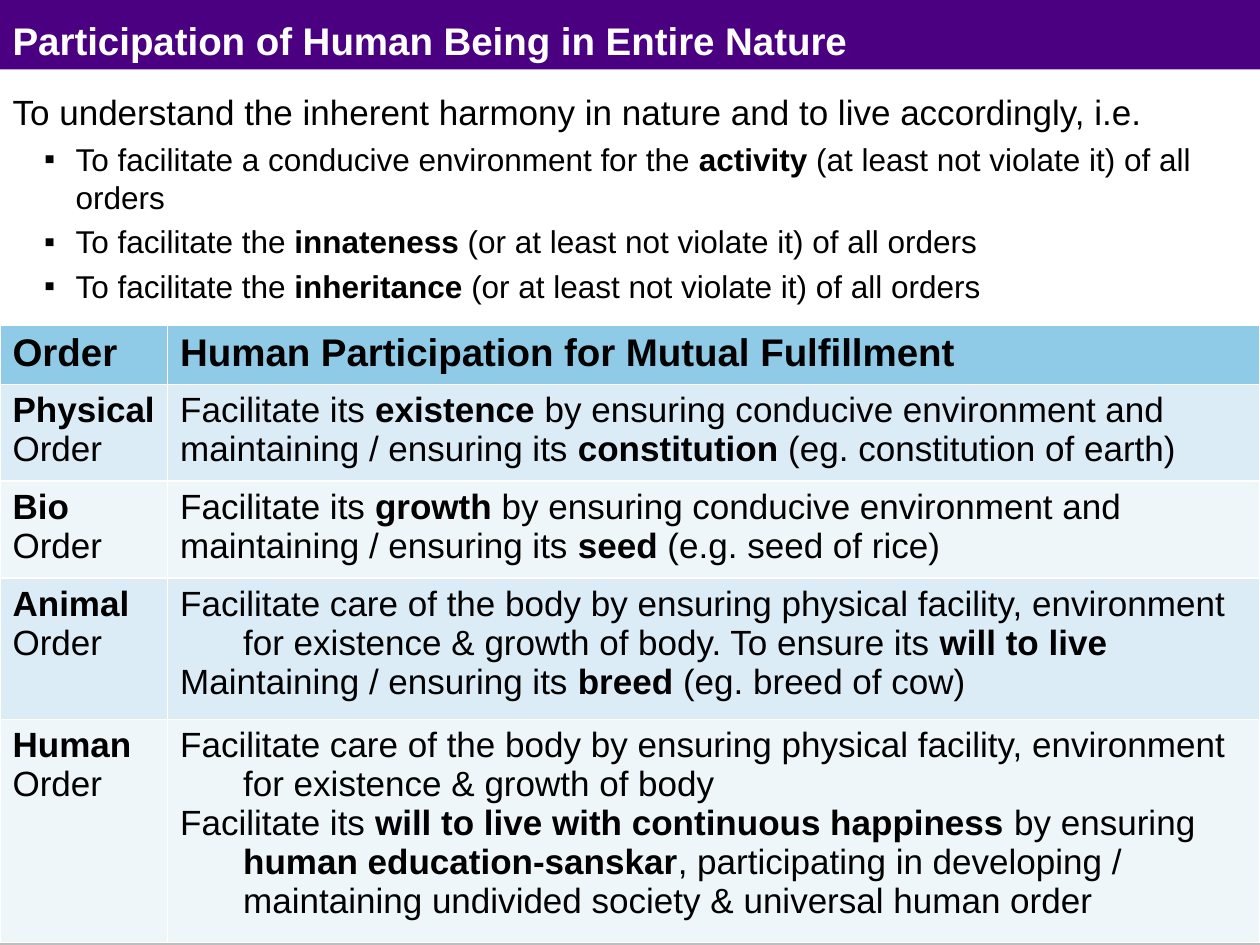
import pptx
import pptx.util
import pptx.dml.color
import pptx.enum.shapes
import pptx.enum.text
import pptx.oxml
import pptx.oxml.ns

Inches, Pt = pptx.util.Inches, pptx.util.Pt
RGB = pptx.dml.color.RGBColor.from_string
ANCHOR = pptx.enum.text.MSO_ANCHOR
theme = dict(
    font="Arial", ink="000000", light="FFFFFF", purple="4B0082", gray="BEBEBE",
    head="8FCAE7", bands=("DBECF6", "EEF6FA"), large=22, main=20, small=18,
)


def write(para, text, size, color=theme["ink"]):
    """Fill a paragraph; words between asterisks are bold."""
    para.font.name = theme["font"]
    para.font.size = Pt(size)
    para.font.color.rgb = RGB(color)
    for i, part in enumerate(text.split("*")):
        if part:
            run = para.add_run()
            run.text = part
            run.font.bold = i % 2 == 1


def indent(para, left, first, bullet=None):
    """Set a hanging indent and, if given, a bullet."""
    props = para._p.get_or_add_pPr()
    props.set("marL", str(Inches(left)))
    props.set("indent", str(Inches(first)))
    mark = pptx.oxml.ns.qn("a:buChar" if bullet else "a:buNone")
    node = props.makeelement(mark, {"char": bullet} if bullet else {})
    props.append(node)


deck = pptx.Presentation()
deck.slide_width, deck.slide_height = Inches(10), Inches(7.5)
slide = deck.slides.add_slide(deck.slide_layouts[1])
title, body = slide.placeholders

# Bars behind the text
bars = [(0, 0.55, theme["purple"]), (7.19, 0.33, theme["gray"])]
for i, (top, height, color) in enumerate(bars):
    bar = slide.shapes.add_shape(
        pptx.enum.shapes.MSO_SHAPE.RECTANGLE, 0, Inches(top), Inches(10), Inches(height))
    bar.shadow.inherit = False
    bar.fill.solid()
    bar.fill.fore_color.rgb = RGB(color)
    bar.line.fill.background()
    slide.shapes._spTree.insert(2 + i, bar._element)

# Title and body boxes
for box, top, height, anchor in [
    (title, 0.08, 0.42, ANCHOR.BOTTOM), (body, 0.67, 6.5, ANCHOR.TOP),
]:
    box.left, box.top = Inches(0), Inches(top)
    box.width, box.height = Inches(10), Inches(height)
    box.text_frame.vertical_anchor = anchor
    box.text_frame.auto_size = pptx.enum.text.MSO_AUTO_SIZE.NONE
title.text_frame.margin_top = title.text_frame.margin_bottom = 0
head = title.text_frame.paragraphs[0]
head.alignment = pptx.enum.text.PP_ALIGN.LEFT
write(head, "*Participation of Human Being in Entire Nature*", theme["large"], theme["light"])

# Lead line and bullets
lead = body.text_frame.paragraphs[0]
lead.space_before = Pt(4)
indent(lead, 0.25, -0.25)
write(lead, "To understand the inherent harmony in nature and to live accordingly, i.e.",
      theme["main"])
for text in [
    "To facilitate a conducive environment for the *activity* (at least not violate it) of all orders",
    "To facilitate the *innateness* (or at least not violate it) of all orders",
    "To facilitate the *inheritance* (or at least not violate it) of all orders",
]:
    para = body.text_frame.add_paragraph()
    para.level = 1
    para.space_before = Pt(4)
    indent(para, 0.5, -0.25, "▪")
    write(para, text, theme["small"])

# Table of orders: height, order, lines
care = ("Facilitate care of the body by ensuring physical facility, environment "
        "for existence & growth of body")
rows = [
    (0.47, "*Order*", ["*Human Participation for Mutual Fulfillment*"]),
    (0.77, "*Physical* Order", [
        "Facilitate its *existence* by ensuring conducive environment and maintaining / "
        "ensuring its *constitution* (eg. constitution of earth)"]),
    (0.77, "*Bio* Order", [
        "Facilitate its *growth* by ensuring conducive environment and maintaining / "
        "ensuring its *seed* (e.g. seed of rice)"]),
    (1.12, "*Animal* Order", [
        care + ". To ensure its *will to live*",
        "Maintaining / ensuring its *breed* (eg. breed of cow)"]),
    (1.77, "*Human* Order", [
        care,
        "Facilitate its *will to live with continuous happiness* by ensuring "
        "*human education-sanskar*, participating in developing / maintaining "
        "undivided society & universal human order"]),
]
table = slide.shapes.add_table(
    len(rows), 2, 0, Inches(2.58), Inches(10), Inches(4.9)).table
table.horz_banding = False
for col, width in zip(table.columns, (1.33, 8.67)):
    col.width = Inches(width)
for r, (height, order, lines) in enumerate(rows):
    table.rows[r].height = Inches(height)
    for c, texts in enumerate(([order], lines)):
        cell = table.cell(r, c)
        cell.fill.solid()
        cell.fill.fore_color.rgb = RGB(theme["bands"][(r - 1) % 2] if r else theme["head"])
        for i, text in enumerate(texts):
            frame = cell.text_frame
            para = frame.add_paragraph() if i else frame.paragraphs[0]
            if len(texts) > 1:
                indent(para, 0.5, -0.5)
            write(para, text, theme["main"] if r else theme["large"])

deck.save("out.pptx")
